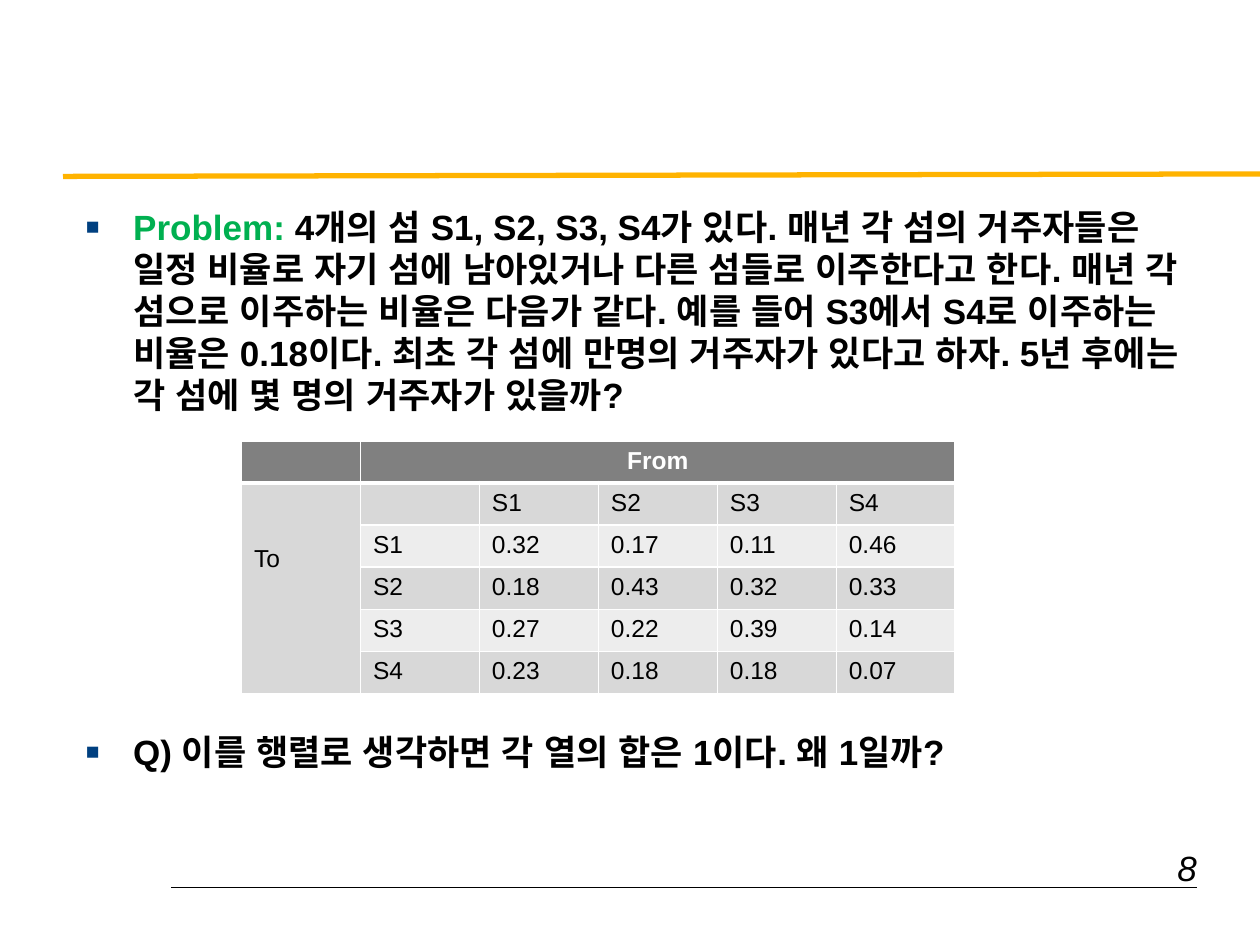
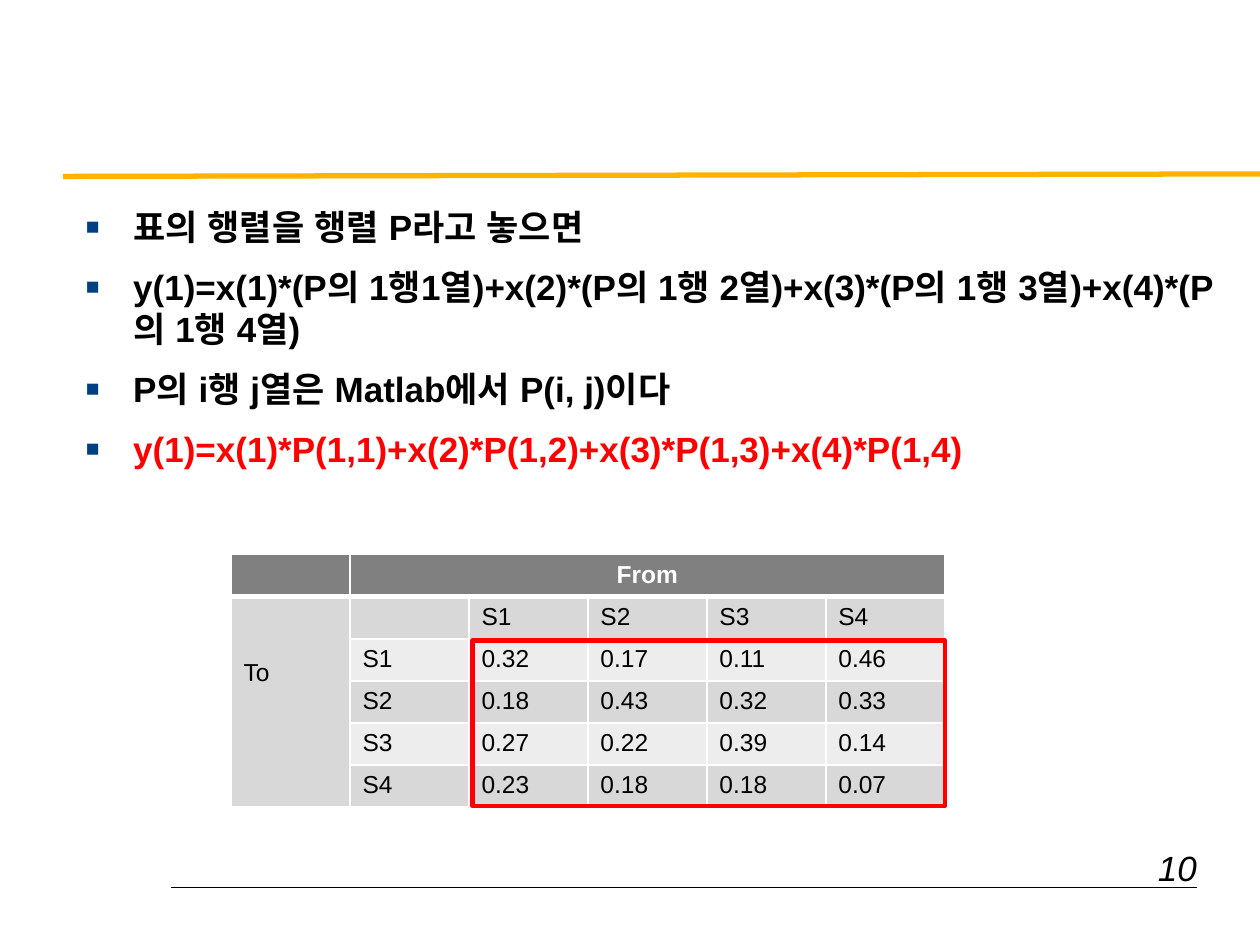
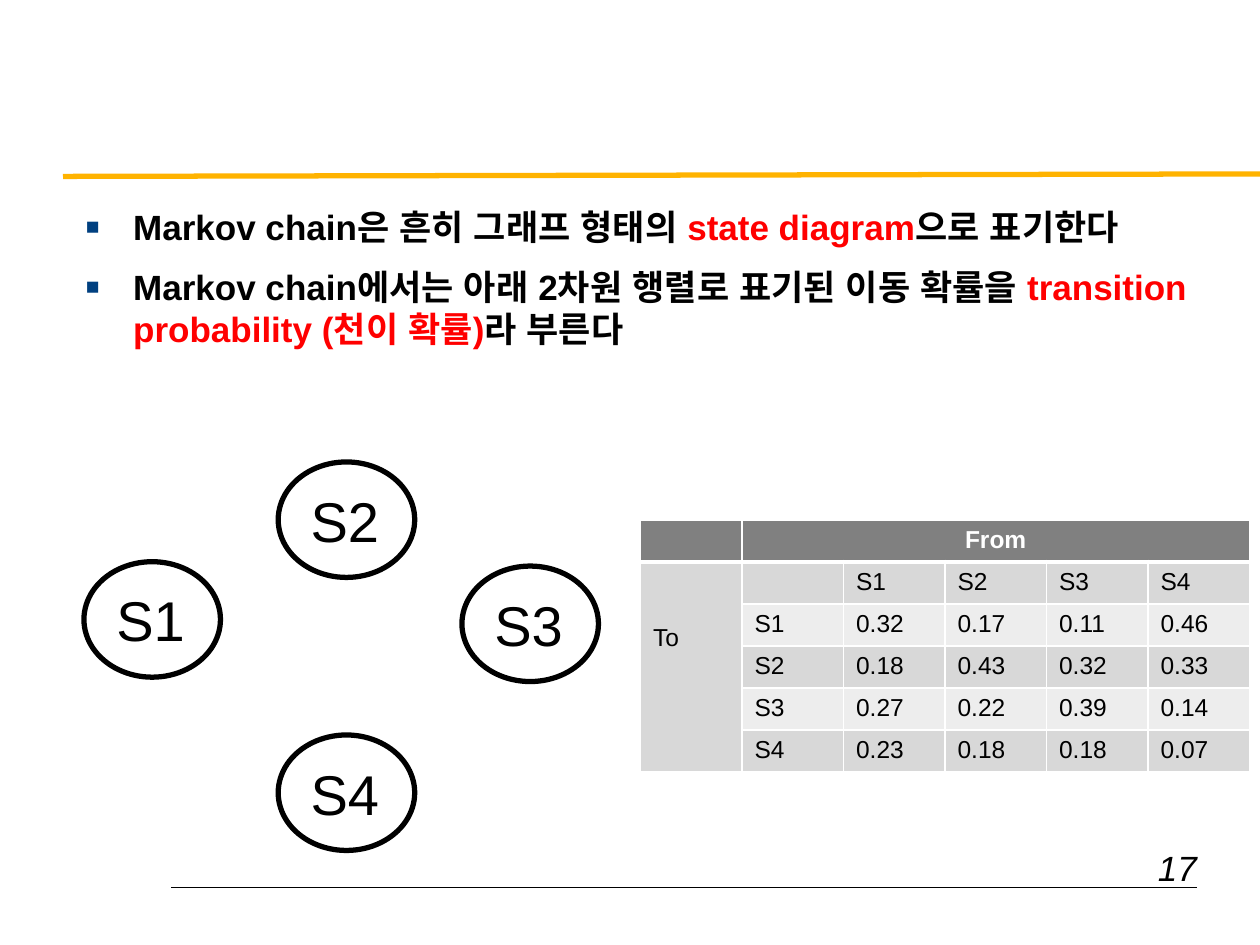
from lxml.etree import SubElement
from pptx import Presentation
from pptx.dml.color import RGBColor
from pptx.enum.shapes import MSO_CONNECTOR, MSO_SHAPE
from pptx.enum.text import MSO_ANCHOR, PP_ALIGN
from pptx.oxml.ns import qn
from pptx.util import Pt

BLACK, WHITE, RED, GREEN = "000000", "FFFFFF", "FF0000", "00B050"
GOLD, NAVY = "FFB300", "004080"
HEAD, DARK, LIGHT = "808080", "D8D8D8", "EDEDED"
FONT = "Arial"

BODY = {"size": Pt(20), "bold": True}
PAGE = {"size": Pt(20), "italic": True}
CELL = {"size": Pt(14), "bold": False}
TITLE = {"size": Pt(14), "bold": True}
NODE = {"size": Pt(32)}

STATES = ["S1", "S2", "S3", "S4"]
RATES = [
    ["0.32", "0.17", "0.11", "0.46"],
    ["0.18", "0.43", "0.32", "0.33"],
    ["0.27", "0.22", "0.39", "0.14"],
    ["0.23", "0.18", "0.18", "0.07"],
]


def rgb(code):
    return RGBColor.from_string(code)


def points(box):
    return [Pt(n) for n in box]


def add_run(para, text, style, color=BLACK):
    run = para.add_run()
    run.text = text
    run.font.name = FONT
    run.font.color.rgb = rgb(color)
    for key, val in style.items():
        setattr(run.font, key, val)
    SubElement(run.font._element, qn("a:ea"), typeface=FONT)


def add_line(slide, ends, color, width):
    line = slide.shapes.add_connector(MSO_CONNECTOR.STRAIGHT, *points(ends))
    line.line.color.rgb = rgb(color)
    line.line.width = Pt(width)
    SubElement(line._element.spPr, qn("a:effectLst"))


def add_frame(slide, kind, box, color, width):
    """Outlined shape without fill."""
    shape = slide.shapes.add_shape(kind, *points(box))
    shape.shadow.inherit = False
    shape.fill.background()
    shape.line.color.rgb = rgb(color)
    shape.line.width = Pt(width)
    return shape


def add_text(slide, box):
    frame = slide.shapes.add_textbox(*points(box)).text_frame
    frame.word_wrap = True
    return frame


def add_base(deck, number):
    """Blank slide with the top rule, the foot rule and the page number."""
    slide = deck.slides.add_slide(deck.slide_layouts[6])
    add_line(slide, (98, 507, 684, 507), BLACK, 0.75)
    add_line(slide, (36, 100.8, 720, 99.4), GOLD, 3)
    para = add_text(slide, (534, 480, 157, 27)).paragraphs[0]
    para.alignment = PP_ALIGN.RIGHT
    add_run(para, str(number), PAGE)
    return slide


def set_bullet(para):
    props = para._p.get_or_add_pPr()
    props.set("marL", str(Pt(27)))
    props.set("indent", str(-Pt(27)))
    color = SubElement(props, qn("a:buClr"))
    SubElement(color, qn("a:srgbClr"), val=NAVY)
    SubElement(props, qn("a:buSzPct"), val="65000")
    SubElement(props, qn("a:buFont"), typeface=FONT)
    SubElement(props, qn("a:buChar"), char="■")


def add_body(slide, box, items, gap=10.3):
    """Bulleted list; each item is a list of (text, colour) runs."""
    frame = add_text(slide, box)
    for i, item in enumerate(items):
        para = frame.add_paragraph() if i else frame.paragraphs[0]
        para.line_spacing = Pt(24)
        if i:
            para.space_before = Pt(gap)
        set_bullet(para)
        for text, color in item:
            add_run(para, text, BODY, color)


def set_edges(cell, row):
    props = cell._tc.get_or_add_tcPr()
    widths = {"L": 1, "R": 1, "T": 3 if row == 1 else 1, "B": 1 if row else 3}
    for side, width in widths.items():
        edge = SubElement(props, qn("a:ln" + side), w=str(Pt(width)))
        fill = SubElement(edge, qn("a:solidFill"))
        SubElement(fill, qn("a:srgbClr"), val=WHITE)


def add_rates(slide, left, top, width):
    """Table of moves between the states, six equal columns."""
    grid = [["", "From", "", "", "", ""], ["To", "", *STATES]]
    grid += [["", name, *row] for name, row in zip(STATES, RATES)]
    size = len(grid)
    step = 23
    table = slide.shapes.add_table(
        size, size, *points((left, top, width, step * size))).table
    table.first_row = table.horz_banding = False
    for col in table.columns:
        col.width = Pt(width / size)
    for r, texts in enumerate(grid):
        table.rows[r].height = Pt(step)
        for c, text in enumerate(texts):
            cell = table.cell(r, c)
            set_edges(cell, r)
            cell.fill.solid()
            shade = DARK if r % 2 or c == 0 else LIGHT
            cell.fill.fore_color.rgb = rgb(shade if r else HEAD)
            para = cell.text_frame.paragraphs[0]
            if text:
                add_run(para, text, CELL if r else TITLE,
                        BLACK if r else WHITE)
            else:
                SubElement(para._p, qn("a:endParaRPr"), sz="1400")
    # Merged heads
    head, side = table.cell(0, 1), table.cell(1, 0)
    head.merge(table.cell(0, size - 1))
    head.text_frame.paragraphs[0].alignment = PP_ALIGN.CENTER
    side.merge(table.cell(size - 1, 0))
    side.margin_top = Pt(35.6)


def add_node(slide, name, left, top):
    node = add_frame(slide, MSO_SHAPE.OVAL, (left, top, 78, 66), BLACK, 3)
    frame = node.text_frame
    frame.word_wrap = False
    frame.vertical_anchor = MSO_ANCHOR.MIDDLE
    para = frame.paragraphs[0]
    para.alignment = PP_ALIGN.LEFT
    add_run(para, name, NODE)


def add_problem(deck):
    slide = add_base(deck, 8)
    add_body(slide, (42, 114, 656.5, 327), [
        [("Problem: ", GREEN),
         ("4개의 섬 S1, S2, S3, S4가 있다. 매년 각 섬의 거주자들은 일정 비율로 "
          "자기 섬에 남아있거나 다른 섬들로 이주한다고 한다. 매년 각 섬으로 "
          "이주하는 비율은 다음가 같다. 예를 들어 S3에서 S4로 이주하는 비율은 "
          "0.18이다. 최초 각 섬에 만명의 거주자가 있다고 하자. 5년 후에는 "
          "각 섬에 몇 명의 거주자가 있을까?", BLACK)],
        [("Q) 이를 행렬로 생각하면 각 열의 합은 1이다. 왜 1일까?", BLACK)],
    ], gap=180)
    add_rates(slide, 138, 252, 408)


def add_matrix(deck):
    slide = add_base(deck, 10)
    add_body(slide, (42, 114, 660, 327), [
        [("표의 행렬을 행렬 P라고 놓으면", BLACK)],
        [("y(1)=x(1)*(P의 1행1열)+x(2)*(P의 1행 2열)+x(3)*(P의 1행 3열)"
          "+x(4)*(P의 1행 4열)", BLACK)],
        [("P의 i행 j열은 Matlab에서 P(i, j)이다", BLACK)],
        [("y(1)=x(1)*P(1,1)+x(2)*P(1,2)+x(3)*P(1,3)+x(4)*P(1,4)", RED)],
    ])
    add_rates(slide, 132, 317, 408)
    # Mark around the rates
    add_frame(slide, MSO_SHAPE.RECTANGLE, (270, 366, 270, 94.5), RED, 2.5)


def add_chain(deck):
    slide = add_base(deck, 17)
    add_body(slide, (42, 114, 656.5, 90), [
        [("Markov chain은 흔히 그래프 형태의 ", BLACK),
         ("state diagram", RED), ("으로 표기한다", BLACK)],
        [("Markov chain에서는 아래 2차원 행렬로 표기된 이동 확률을 ", BLACK),
         ("transition probability (천이 확률)", RED), ("라 부른다", BLACK)],
    ])
    # State diagram
    spots = {"S1": (48, 321), "S4": (159, 420),
             "S3": (264, 323.5), "S2": (159, 264)}
    for name, spot in spots.items():
        add_node(slide, name, *spot)
    add_rates(slide, 366, 297, 348)


def main():
    deck = Presentation()
    deck.slide_width, deck.slide_height = Pt(720), Pt(540)
    for build in (add_problem, add_matrix, add_chain):
        build(deck)
    deck.save("out.pptx")


if __name__ == "__main__":
    main()
